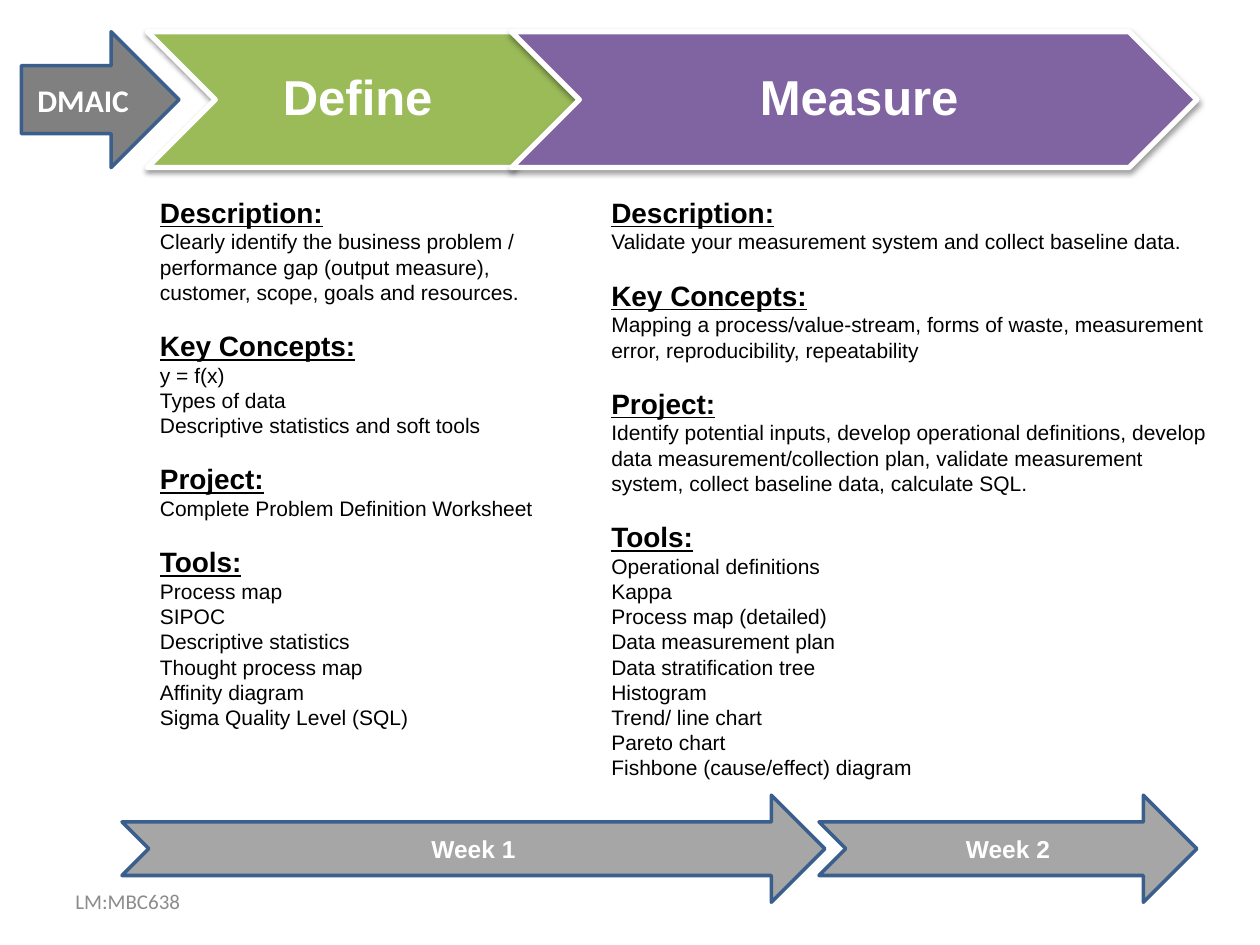
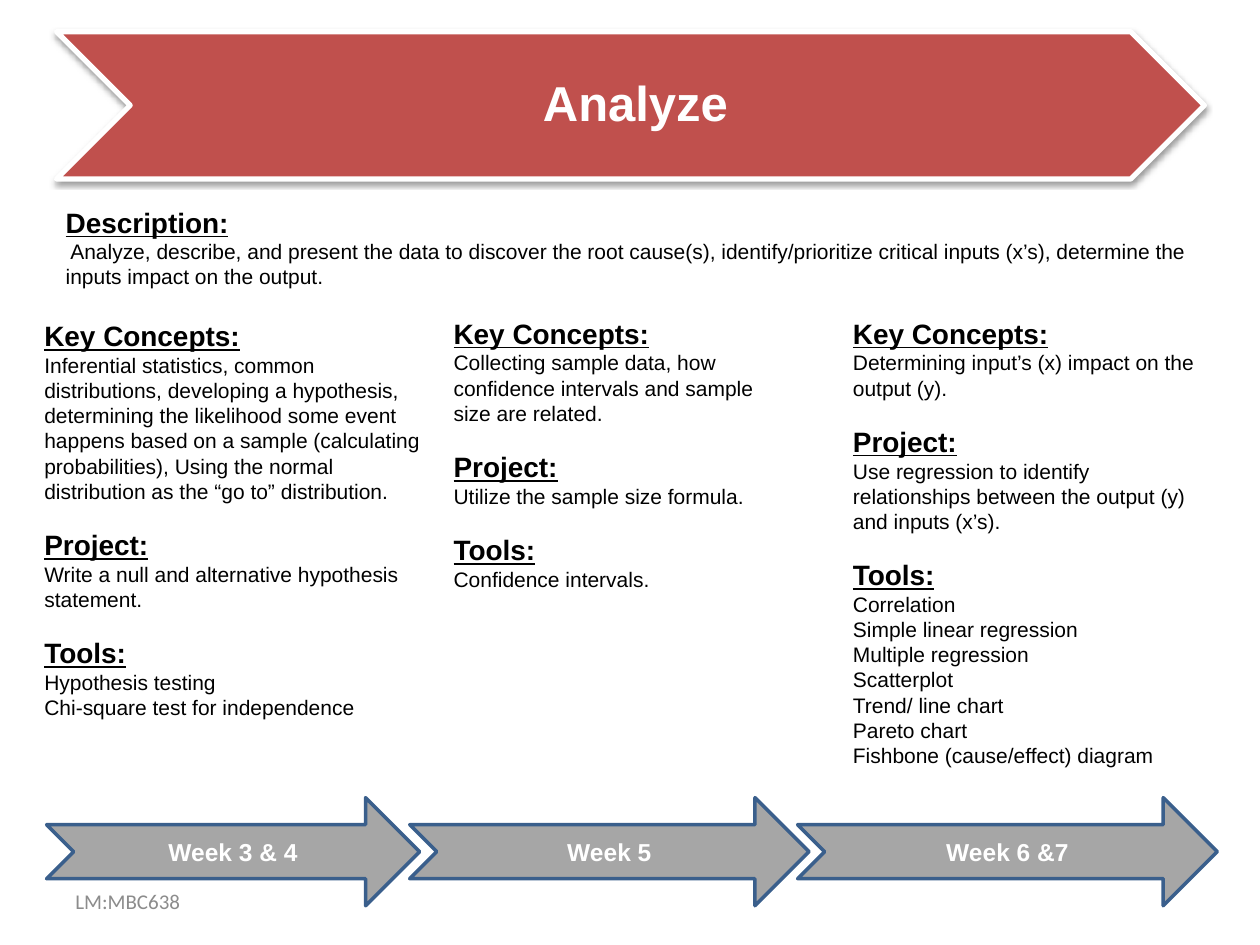
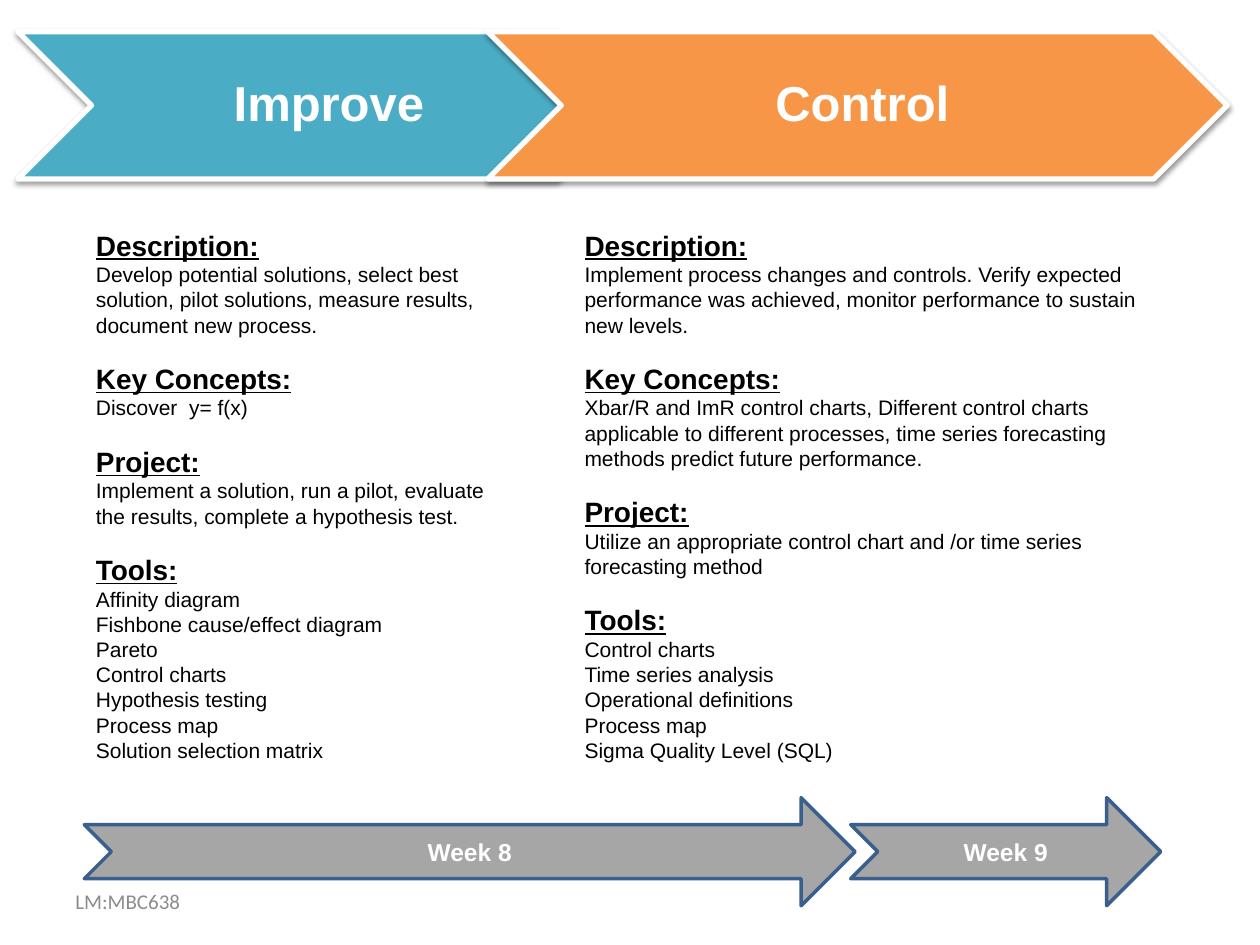
from dataclasses import dataclass

from lxml import etree
from pptx import Presentation
from pptx.dml.color import RGBColor
from pptx.enum.shapes import MSO_SHAPE
from pptx.enum.text import MSO_ANCHOR, MSO_AUTO_SIZE, PP_ALIGN
from pptx.oxml.ns import qn
from pptx.util import Cm, Pt

CHEVRON, RIGHT_ARROW = MSO_SHAPE.CHEVRON, MSO_SHAPE.RIGHT_ARROW
WEEK_ARROW = MSO_SHAPE.NOTCHED_RIGHT_ARROW
LEFT, CENTER = PP_ALIGN.LEFT, PP_ALIGN.CENTER
TOP, MIDDLE = MSO_ANCHOR.TOP, MSO_ANCHOR.MIDDLE
NO_FIT = MSO_AUTO_SIZE.NONE
TWO_LISTS, FOUR_LISTS = 3, 4  # layouts with a title and two or four bodies


@dataclass(frozen=True)
class Theme:
    font: str = "Arial"
    small_font: str = "Calibri"
    white: str = "FFFFFF"
    black: str = "000000"
    outline: str = "3A5F8C"
    start: str = "808080"
    week: str = "A6A6A6"
    footer: str = "8C8C8C"
    define: str = "9BBB59"
    measure: str = "8064A2"
    analyze: str = "C0504D"
    improve: str = "4BACC6"
    control: str = "F79646"
    phase_size: float = 28
    start_size: float = 18
    heading_size: float = 16
    week_size: float = 14
    body_size: float = 12
    section_gap: float = 13.8


theme = Theme()
BAND_TOP = 0.64

# Per slide: phases are (name, colour, left, width, label shift),
# lists are (left, top, width, height, sections), weeks are (name, left, width).
slides = [
    {
        "layout": TWO_LISTS, "band_height": 2.74,
        "phases": [("Define", theme.define, 2.97, 8.74, -0.23),
                   ("Measure", theme.measure, 10.31, 13.82, 0)],
        "lists": [
            (2.97, 3.81, 9.09, 11.2, {
                "Description:": ["Clearly identify the business problem / performance gap "
                                 "(output measure), customer, scope, goals and resources."],
                "Key Concepts:": ["y = f(x)", "Types of data",
                                  "Descriptive statistics and soft tools"],
                "Project:": ["Complete Problem Definition Worksheet"],
                "Tools:": ["Process map", "SIPOC", "Descriptive statistics",
                           "Thought process map", "Affinity diagram",
                           "Sigma Quality Level (SQL)"]}),
            (12.07, 3.81, 12.7, 12.22, {
                "Description:": ["Validate your measurement system and collect baseline data."],
                "Key Concepts:": ["Mapping a process/value-stream, forms of waste, measurement "
                                  "error, reproducibility, repeatability"],
                "Project:": ["Identify potential inputs, develop operational definitions, "
                             "develop data measurement/collection plan, validate measurement "
                             "system, collect baseline data, calculate SQL."],
                "Tools:": ["Operational definitions", "Kappa", "Process map (detailed)",
                           "Data measurement plan", "Data stratification tree", "Histogram",
                           "Trend/ line chart", "Pareto chart",
                           "Fishbone (cause/effect) diagram"]}),
        ],
        "week_top": 16.03, "week_height": 2.16,
        "weeks": [("Week 1", 2.46, 14.17), ("Week 2", 16.51, 7.62)],
    },
    {
        "layout": FOUR_LISTS, "band_height": 2.97,
        "phases": [("Analyze", theme.analyze, 1.14, 23.14, 0)],
        "lists": [
            (1.07, 4.01, 23.29, 1.96, {
                "Description:": [" Analyze, describe, and present the data to discover the root "
                                 "cause(s), identify/prioritize critical inputs (x’s), "
                                 "determine the inputs impact on the output."]}),
            (0.64, 6.3, 8.26, 9.5, {
                "Key Concepts:": ["Inferential statistics, common distributions, developing a "
                                  "hypothesis, determining the likelihood some event happens "
                                  "based on a sample (calculating probabilities), Using the "
                                  "normal distribution as the “go to” distribution."],
                "Project:": ["Write a null and alternative hypothesis statement."],
                "Tools:": ["Hypothesis testing", "Chi-square test for independence"]}),
            (8.89, 6.25, 7.37, 6.93, {
                "Key Concepts:": ["Collecting sample data, how confidence intervals and sample "
                                  "size are related."],
                "Project:": ["Utilize the sample size formula."],
                "Tools:": ["Confidence intervals."]}),
            (16.94, 6.25, 7.42, 9.5, {
                "Key Concepts:": ["Determining input’s (x) impact on the output (y)."],
                "Project:": ["Use regression to identify relationships between the output (y) "
                             "and inputs (x’s)."],
                "Tools:": ["Correlation", "Simple linear regression", "Multiple regression",
                           "Scatterplot", "Trend/ line chart", "Pareto chart",
                           "Fishbone (cause/effect) diagram"]}),
        ],
        "week_top": 16.08, "week_height": 2.18,
        "weeks": [("Week 3 & 4", 0.94, 7.52), ("Week 5", 8.26, 8.05),
                  ("Week 6 &7", 16.08, 8.46)],
    },
    {
        "layout": TWO_LISTS, "band_height": 2.97,
        "phases": [("Improve", theme.improve, 0.36, 12.34, 0),
                   ("Control", theme.control, 9.83, 14.91, 0)],
        "lists": [
            (1.68, 4.47, 8.46, 11.71, {
                "Description:": ["Develop potential solutions, select best solution, pilot "
                                 "solutions, measure results, document new process."],
                "Key Concepts:": ["Discover  y= f(x)"],
                "Project:": ["Implement a solution, run a pilot, evaluate the results, "
                             "complete a hypothesis test."],
                "Tools:": ["Affinity diagram", "Fishbone cause/effect diagram", "Pareto",
                           "Control charts", "Hypothesis testing", "Process map",
                           "Solution selection matrix"]}),
            (11.53, 4.47, 11.99, 11.2, {
                "Description:": ["Implement process changes and controls. Verify expected "
                                 "performance was achieved, monitor performance to sustain "
                                 "new levels."],
                "Key Concepts:": ["Xbar/R and ImR control charts, Different control charts "
                                  "applicable to different processes, time series forecasting "
                                  "methods predict future performance."],
                "Project:": ["Utilize an appropriate control chart and /or time series "
                             "forecasting method"],
                "Tools:": ["Control charts", "Time series analysis", "Operational definitions",
                           "Process map", "Sigma Quality Level (SQL)"]}),
        ],
        "week_top": 16.08, "week_height": 2.18,
        "weeks": [("Week 8", 1.7, 15.54), ("Week 9", 17.15, 6.25)],
    },
]


def write_line(box, text, size, color=theme.white, font=theme.font, bold=True, align=CENTER):
    """Put one vertically centred line of text in a shape."""
    frame = box.text_frame
    frame.text = text
    frame.word_wrap = True
    frame.auto_size = NO_FIT
    frame.vertical_anchor = MIDDLE
    para = frame.paragraphs[0]
    para.alignment = align
    span = para.runs[0]
    span.font.name, span.font.size, span.font.bold = font, Pt(size), bold
    span.font.color.rgb = RGBColor.from_string(color)


def add_block(page, kind, left, top, width, height, fill, line, weight):
    """Draw a filled, outlined shape without a shadow."""
    block = page.shapes.add_shape(kind, Cm(left), Cm(top), Cm(width), Cm(height))
    block.fill.solid()
    block.fill.fore_color.rgb = RGBColor.from_string(fill)
    block.line.color.rgb = RGBColor.from_string(line)
    block.line.width = Pt(weight)
    block.shadow.inherit = False
    return block


deck = Presentation()
deck.slide_width, deck.slide_height = Cm(25.4), Cm(19.05)

for content in slides:
    page = deck.slides.add_slide(deck.slide_layouts[content["layout"]])
    title, *bodies = page.placeholders
    band_height = content["band_height"]

    # Phase band: chevrons with a soft shadow; the first label is the title
    for number, (name, color, left, width, shift) in enumerate(content["phases"]):
        chevron = add_block(page, CHEVRON, left, BAND_TOP, width, band_height,
                            color, theme.white, 3)
        effects = chevron.element.spPr.find(qn("a:effectLst"))
        shadow = etree.SubElement(effects, qn("a:outerShdw"), blurRad="40000",
                                  dist="20000", dir="5400000", rotWithShape="0")
        shade = etree.SubElement(shadow, qn("a:srgbClr"), val=theme.black)
        etree.SubElement(shade, qn("a:alpha"), val="38000")

        label = title if number == 0 else page.shapes.add_textbox(0, 0, 0, 0)
        label.left, label.top = Cm(left + band_height / 2 + shift), Cm(BAND_TOP)
        label.width, label.height = Cm(width - band_height), Cm(band_height)
        write_line(label, name, theme.phase_size)
        frame = label.text_frame
        frame.margin_left = Cm(0.3)
        frame.margin_top = frame.margin_right = frame.margin_bottom = Cm(0.1)
        frame.paragraphs[0].line_spacing = 0.9
        page.shapes.element.append(label.element)  # bring in front of the chevron

    # Section lists
    for body, (left, top, width, height, sections) in zip(bodies, content["lists"]):
        body.left, body.top, body.width, body.height = Cm(left), Cm(top), Cm(width), Cm(height)
        lines = [(text, text == heading)
                 for heading, items in sections.items() for text in [heading, *items]]
        frame = body.text_frame
        frame.text = "\n".join(text for text, _ in lines)
        frame.word_wrap = True
        frame.auto_size = NO_FIT
        frame.vertical_anchor = TOP
        for number, (para, (_, is_heading)) in enumerate(zip(frame.paragraphs, lines)):
            para.alignment = LEFT
            para.space_before = Pt(theme.section_gap if is_heading and number else 0)
            properties = para._p.get_or_add_pPr()
            properties.set("marL", "0")
            properties.set("indent", "0")
            etree.SubElement(properties, qn("a:buNone"))
            font = para.runs[0].font
            font.name = theme.font
            font.size = Pt(theme.heading_size if is_heading else theme.body_size)
            font.bold = font.underline = is_heading
            font.color.rgb = RGBColor.from_string(theme.black)

    # Start arrow, on the opening slide only
    if content is slides[0]:
        start = add_block(page, RIGHT_ARROW, 0.43, BAND_TOP, 3.18, band_height,
                          theme.start, theme.outline, 2)
        write_line(start, "DMAIC", theme.start_size, font=theme.small_font)

    # Week timeline
    for name, left, width in content["weeks"]:
        arrow = add_block(page, WEEK_ARROW, left, content["week_top"], width,
                          content["week_height"], theme.week, theme.outline, 2)
        write_line(arrow, name, theme.week_size)

    # Footer
    footer = page.shapes.add_textbox(Cm(1.27), Cm(17.65), Cm(5.92), Cm(1.02))
    write_line(footer, "LM:MBC638", theme.body_size, theme.footer, theme.small_font,
               bold=False, align=LEFT)

deck.save("out.pptx")
